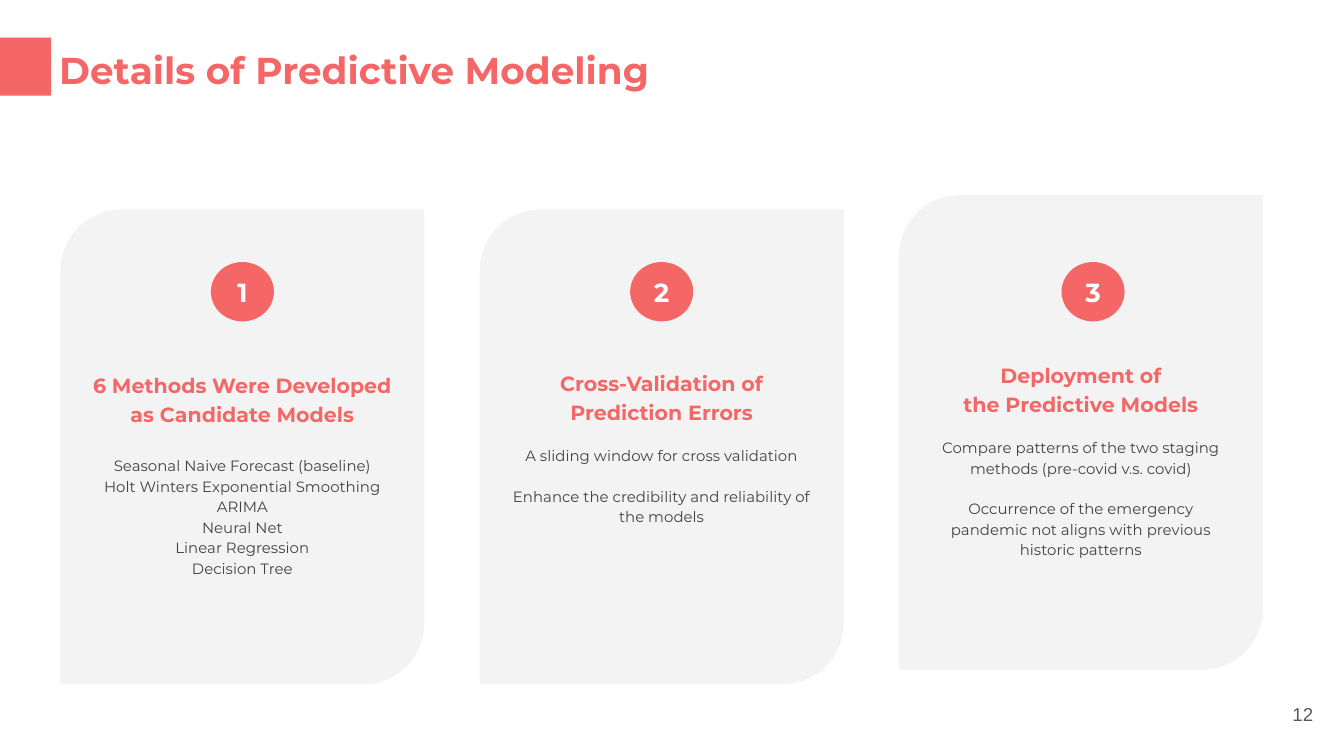
import pptx
import pptx.util
import pptx.dml.color
import pptx.enum.shapes
import pptx.enum.text

Pt = pptx.util.Pt
RGBColor = pptx.dml.color.RGBColor
MSO_SHAPE = pptx.enum.shapes.MSO_SHAPE
MSO_ANCHOR = pptx.enum.text.MSO_ANCHOR
PP_ALIGN = pptx.enum.text.PP_ALIGN

CORAL = RGBColor(0xF5, 0x66, 0x66)
PALE_GRAY = RGBColor(0xF3, 0xF3, 0xF3)
DARK_GRAY = RGBColor(0x43, 0x43, 0x43)
PAGE_GRAY = RGBColor(0x59, 0x59, 0x59)
WHITE = RGBColor(0xFF, 0xFF, 0xFF)

INSET = 7.2
CARD_LEFT, CARD_PITCH = 32.4, 224.6
CARD_WIDTH, CARD_HEIGHT = 195, 254.2
BADGE_TOP, BADGE_WIDTH, BADGE_HEIGHT = 140.4, 33.8, 31.8
ITEM_GAP = 10.7

# Each step: card top, text inset, badge shift, heading lines, gap after heading, gap between items, items
STEPS = [
    (112.3, 76.2, 0, ["6 Methods Were Developed as Candidate Models"], 15, 0,
     ["Seasonal Naive Forecast (baseline)", "Holt Winters Exponential Smoothing",
      "ARIMA", "Neural Net", "Linear Regression", "Decision Tree"]),
    (112.3, 75.1, 0, ["Cross-Validation of Prediction Errors"], ITEM_GAP, ITEM_GAP,
     ["A sliding window for cross validation",
      "Enhance the credibility and reliability of the models"]),
    (104.6, 78.6, 6.5, ["Deployment of", "the Predictive Models"], ITEM_GAP, ITEM_GAP,
     ["Compare patterns of the two staging methods (pre-covid v.s. covid)",
      "Occurrence of the emergency pandemic not aligns with previous historic patterns"]),
]


def add_filled_shape(slide, preset, left, top, width, height, color):
    shape = slide.shapes.add_shape(preset, Pt(left), Pt(top), Pt(width), Pt(height))
    shape.shadow.inherit = False
    shape.fill.solid()
    shape.fill.fore_color.rgb = color
    shape.line.fill.background()
    return shape


def set_frame(frame, anchor, side=INSET, top=INSET, bottom=INSET):
    frame.word_wrap = True
    frame.auto_size = pptx.enum.text.MSO_AUTO_SIZE.NONE
    frame.vertical_anchor = anchor
    frame.margin_left = frame.margin_right = Pt(side)
    frame.margin_top, frame.margin_bottom = Pt(top), Pt(bottom)


def write_line(paragraph, text, size, color, bold=False, align=PP_ALIGN.CENTER,
               font="Montserrat", spacing=1.15, before=0):
    paragraph.alignment = align
    paragraph.line_spacing = spacing
    paragraph.space_before = Pt(before)
    run = paragraph.add_run()
    run.text = text
    run.font.name = font
    run.font.size = Pt(size)
    run.font.bold = bold
    run.font.color.rgb = color


def add_title(slide, text):
    title = slide.shapes.title
    title.left, title.top = Pt(24.5), Pt(14.4)
    title.width, title.height = Pt(671), Pt(45.4)
    set_frame(title.text_frame, MSO_ANCHOR.TOP)
    write_line(title.text_frame.paragraphs[0], text, 20, CORAL, True, PP_ALIGN.LEFT)


def add_card(slide, left, top, text_inset, heading, heading_gap, item_gap, items):
    card = add_filled_shape(slide, MSO_SHAPE.ROUND_2_DIAG_RECTANGLE,
                            left, top, CARD_WIDTH, CARD_HEIGHT, PALE_GRAY)
    card.adjustments[0] = 0.167
    card.adjustments[1] = 0
    frame = card.text_frame
    set_frame(frame, MSO_ANCHOR.TOP, top=text_inset)
    for index, line in enumerate(heading):
        paragraph = frame.add_paragraph() if index else frame.paragraphs[0]
        write_line(paragraph, line, 11, CORAL, True)
    for index, item in enumerate(items):
        write_line(frame.add_paragraph(), item, 8, DARK_GRAY,
                   before=item_gap if index else heading_gap)


def add_badge(slide, left, number):
    badge = add_filled_shape(slide, MSO_SHAPE.OVAL, left, BADGE_TOP,
                             BADGE_WIDTH, BADGE_HEIGHT, CORAL)
    set_frame(badge.text_frame, MSO_ANCHOR.MIDDLE, 0, 0, 0)
    write_line(badge.text_frame.paragraphs[0], str(number), 14, WHITE, True, spacing=1.0)


def add_page_number(slide, number):
    page = slide.shapes.add_textbox(Pt(667.4), Pt(367.2), Pt(43.2), Pt(31))
    set_frame(page.text_frame, MSO_ANCHOR.MIDDLE)
    write_line(page.text_frame.paragraphs[0], str(number), 10, PAGE_GRAY,
               align=PP_ALIGN.RIGHT, font="Arial", spacing=1.0)


def main():
    deck = pptx.Presentation()
    deck.slide_width, deck.slide_height = Pt(720), Pt(405)
    slide = deck.slides.add_slide(deck.slide_layouts[5])
    add_filled_shape(slide, MSO_SHAPE.RECTANGLE, 0, 20.2, 27.4, 31, CORAL)
    add_title(slide, "Details of Predictive Modeling")
    for index, (top, text_inset, badge_shift, *content) in enumerate(STEPS):
        left = CARD_LEFT + index * CARD_PITCH
        add_card(slide, left, top, text_inset, *content)
        add_badge(slide, left + (CARD_WIDTH - BADGE_WIDTH) / 2 + badge_shift, index + 1)
    add_page_number(slide, 12)
    deck.save("out.pptx")


if __name__ == "__main__":
    main()
